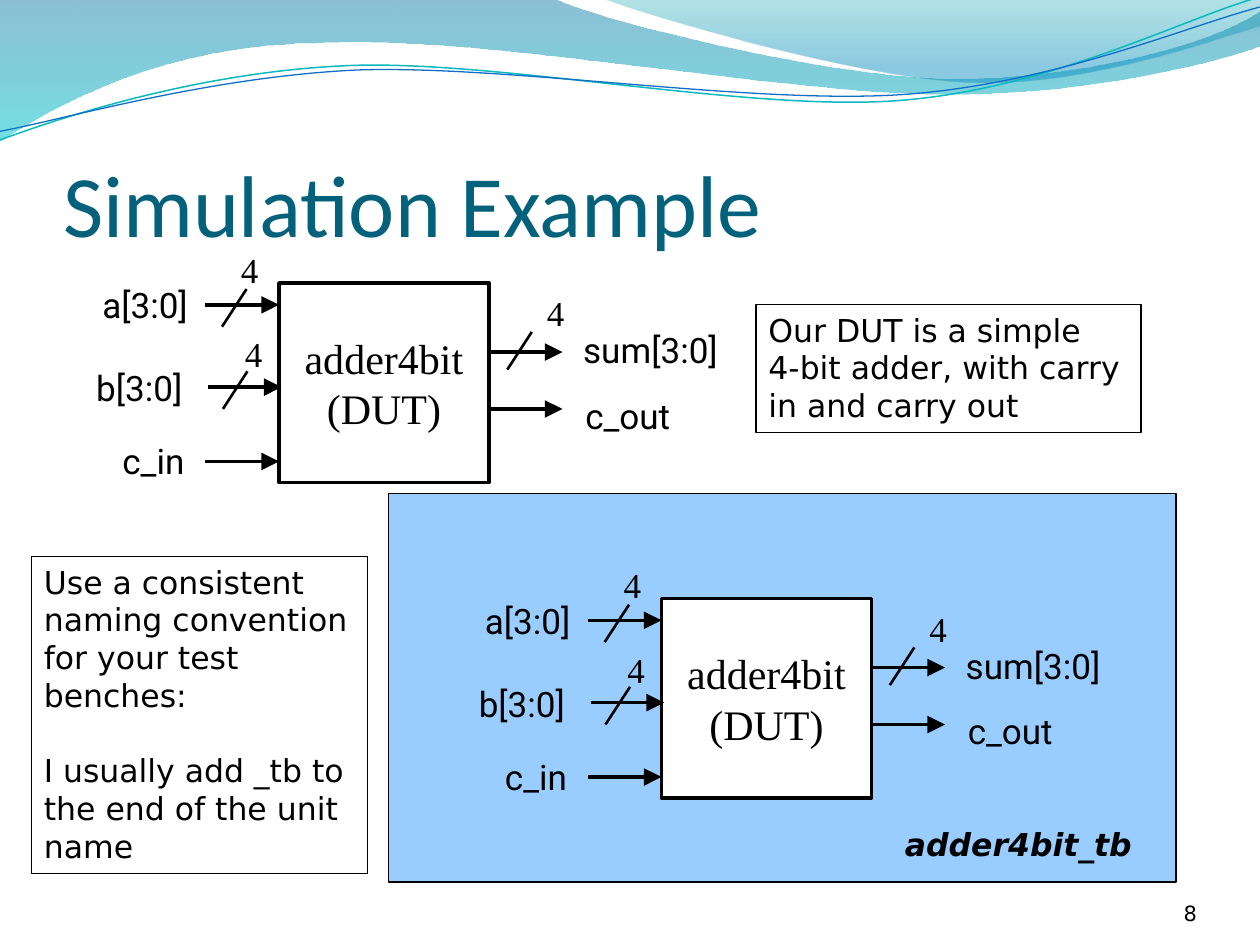
from lxml.etree import SubElement
from pptx import Presentation
from pptx.dml.color import RGBColor
from pptx.enum.shapes import MSO_CONNECTOR, MSO_SHAPE
from pptx.enum.text import MSO_ANCHOR, MSO_AUTO_SIZE, PP_ALIGN
from pptx.oxml.ns import qn
from pptx.util import Pt

INK = {
    "black": "000000", "white": "FFFFFF", "bench": "99CCFF", "title": "04617B",
    "blue": "0074A1", "cyan": "00C6CF", "teal": "00A1A9", "sky": "008BBF",
    "aqua": "0AB8BF", "navy": "0F6FC6",
}
TONE = {name: RGBColor.from_string(code) for name, code in INK.items()}

FONT = {
    "title": {"name": "Calibri", "size": Pt(50)},
    "unit": {"name": "Times New Roman", "size": Pt(24)},
    "width": {"name": "Times New Roman", "size": Pt(20)},
    "port": {"name": "Roboto", "size": Pt(20)},
    "note": {"name": "DejaVu Sans", "size": Pt(18)},
    "bench": {"name": "DejaVu Sans", "size": Pt(18), "bold": True, "italic": True},
    "page": {"name": "DejaVu Sans", "size": Pt(12)},
}


def write(shape, lines, style, color="black", align=PP_ALIGN.LEFT, **frame):
    text = shape.text_frame
    for key, value in {"word_wrap": False, "auto_size": MSO_AUTO_SIZE.NONE, **frame}.items():
        setattr(text, key, value)
    text.text = "\n".join(lines)
    for para in text.paragraphs:
        para.alignment = align
        font = para.runs[0].font
        font.color.rgb = TONE[color]
        for key, value in FONT[style].items():
            setattr(font, key, value)


def wire(start, end, weight, arrow=False):
    link = shapes.add_connector(MSO_CONNECTOR.STRAIGHT, *map(Pt, start + end))
    link.line.color.rgb = TONE["black"]
    link.line.width = Pt(weight)
    props = link._element.spPr
    if arrow:
        SubElement(props.find(qn("a:ln")), qn("a:tailEnd"), type="triangle", w="lg", len="lg")
    SubElement(props, qn("a:effectLst"))


deck = Presentation()
deck.slide_width, deck.slide_height = Pt(720), Pt(540)
slide = deck.slides.add_slide(deck.slide_layouts[5])
shapes = slide.shapes

waves = [
    {"start": (0, -0.7), "stops": [("blue", 0, 45), ("cyan", 1, 55)], "steps": [
        (317, -0.7), (343, 12, 478, 45, 546, 45), (614, 45, 690, 27, 720, 6.5),
        (721, 26), (708, 32, 626, 55, 537, 54), (447, 54, 275, 20, 185, 24.5),
        (93, 25, 33, 60, -0.7, 81)]},
    {"start": (345, -0.7), "stops": [("teal", 0, 30), ("sky", 0.8, 45)], "steps": [
        (366, 8, 491, 45, 554, 47), (618, 50, 692, 23, 720, 15), (720, 0)]},
    {"start": (0, 80), "line": ("aqua", 0.85), "steps": [
        (35, 67, 114, 41, 199, 37.5), (284, 34, 427, 64, 513, 57.5),
        (600, 51, 675, 11, 719, -1.5)]},
    {"start": (0, 75), "line": ("navy", 0.75), "steps": [
        (34, 69, 118, 44, 204, 40), (290, 37, 430, 60, 516, 54),
        (602, 48, 678, 15, 720, 4)]},
]
for wave in waves:
    dots = [wave["start"]] + [step[-2:] for step in wave["steps"]]
    left, top = min(x for x, y in dots), min(y for x, y in dots)
    dots = [(100 * x, 100 * y) for x, y in dots]
    pen = shapes.build_freeform(*dots[0], scale=Pt(1) / 100)
    pen.add_line_segments(dots[1:], close="stops" in wave)
    shape = pen.convert_to_shape()
    shape.shadow.inherit = False
    edges = list(shape._element.spPr.iter(qn("a:lnTo")))
    for edge, step in zip(edges, wave["steps"]):
        if len(step) == 6:
            edge.tag = qn("a:cubicBezTo")
            for i in (2, 0):
                x, y = round(100 * (step[i] - left)), round(100 * (step[i + 1] - top))
                edge.insert(0, SubElement(edge, qn("a:pt"), x=str(x), y=str(y)))
    if "line" in wave:
        color, weight = wave["line"]
        shape.fill.background()
        shape.line.color.rgb = TONE[color]
        shape.line.width = Pt(weight)
        continue
    shape.line.fill.background()
    shape.fill.gradient()
    shape.fill.gradient_angle = 270
    for stop, (color, place, alpha) in zip(shape.fill.gradient_stops, wave["stops"]):
        stop.color.rgb = TONE[color]
        stop.position = place
    for node, (color, place, alpha) in zip(shape._element.spPr.iter(qn("a:srgbClr")), wave["stops"]):
        SubElement(node, qn("a:alpha"), val=str(alpha * 1000))

title = shapes.title
for key, value in {"left": 36, "top": 55.5, "width": 648, "height": 90}.items():
    setattr(title, key, Pt(value))
write(title, ["Simulation Example"], "title", "title", word_wrap=True,
      vertical_anchor=MSO_ANCHOR.BOTTOM, margin_left=0, margin_right=0, margin_bottom=0)

page = shapes.add_textbox(Pt(624), Pt(500.5), Pt(60), Pt(28.5))
write(page, ["8"], "page", align=PP_ALIGN.RIGHT, word_wrap=True,
      vertical_anchor=MSO_ANCHOR.BOTTOM,
      margin_left=0, margin_right=0, margin_top=0, margin_bottom=0)

boxes = {}
for name, place, fill, weight in [
    ("bench", (222, 282, 450, 222), "bench", 1),
    ("lower", (378, 342, 120, 114), "white", 2),
    ("upper", (159.4, 161.7, 120, 114), "white", 2),
    ("naming", (18, 318, 192, 181.25), None, 1),
    ("about", (432, 174, 220, 73.25), None, 1),
]:
    box = boxes[name] = shapes.add_shape(MSO_SHAPE.RECTANGLE, *map(Pt, place))
    box.shadow.inherit = False
    box.line.color.rgb = TONE["black"]
    box.line.width = Pt(weight)
    if fill:
        box.fill.solid()
        box.fill.fore_color.rgb = TONE[fill]
    else:
        box.fill.background()

write(boxes["naming"], ["Use a consistent", "naming convention for your test benches:",
                        "I usually add _tb to the end of the unit name"],
      "note", word_wrap=True, vertical_anchor=MSO_ANCHOR.TOP)
boxes["naming"].text_frame.paragraphs[2].space_before = Pt(21.5)
write(boxes["about"], ["Our DUT is a simple", "4-bit adder, with carry", "in and carry out"],
      "note", vertical_anchor=MSO_ANCHOR.TOP)
label = shapes.add_textbox(Pt(510), Pt(468), Pt(146), Pt(29))
write(label, ["adder4bit_tb"], "bench")

wires = [(-42, 0, 12.5), (-40.5, 1.5, 59.5), (-42, 0, 102), (120, 162, 39.5), (120, 162, 72)]
ticks = [(-18.5, 3.5), (-18, 50.5), (144.5, 28)]
labels = [
    ("a[3:0]", "port", -108, -3, 69), ("b[3:0]", "port", -111.5, 44.25, 70),
    ("c_in", "port", -96.5, 86, 50.5), ("sum[3:0]", "port", 166.75, 22.5, 95),
    ("c_out", "port", 168, 60, 63.5), ("4", "width", -28.75, -23.5, 24.5),
    ("4", "width", -26.5, 25, 24.5), ("4", "width", 146, 1.5, 24.5),
]
for name, left, top in [("lower", 378, 342), ("upper", 159.4, 161.7)]:
    write(boxes[name], ["adder4bit", "(DUT)"], "unit", align=PP_ALIGN.CENTER,
          vertical_anchor=MSO_ANCHOR.MIDDLE)
    for start, end, y in wires:
        wire((left + start, top + y), (left + end, top + y), 2, arrow=True)
    for x, y in ticks:
        wire((left + x, top + y), (left + x - 14, top + y + 21.5), 1.5)
    for text, style, x, y, width in labels:
        label = shapes.add_textbox(Pt(left + x), Pt(top + y), Pt(width), Pt(31))
        write(label, [text], style)

deck.save("out.pptx")
